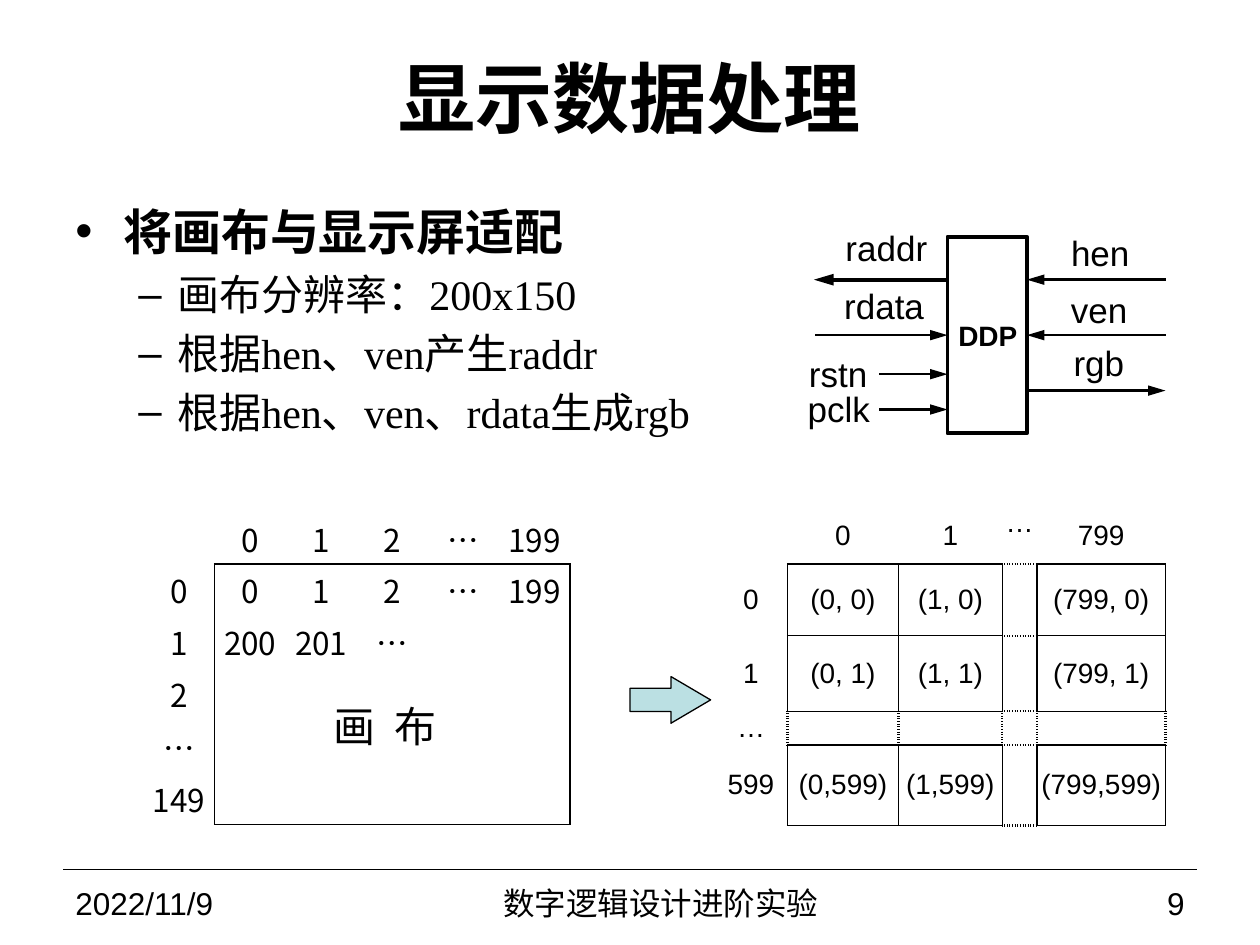
from lxml.etree import SubElement
from pptx import Presentation
from pptx.dml.color import RGBColor
from pptx.enum.shapes import MSO_CONNECTOR, MSO_SHAPE
from pptx.enum.text import MSO_ANCHOR, MSO_AUTO_SIZE, PP_ALIGN
from pptx.oxml.ns import qn
from pptx.util import Inches, Pt

INK, PALE, WHITE = "000000", "BBE0E3", "FFFFFF"
LEFT, MID, RIGHT = PP_ALIGN.LEFT, PP_ALIGN.CENTER, PP_ALIGN.RIGHT
NO_STYLE = "{2D5ABB26-0587-4C30-8999-92F81FD0307C}"
SIDES = {"lnL": (0, -1), "lnR": (0, 1), "lnT": (-1, 0), "lnB": (1, 0)}


def color(code):
    return RGBColor.from_string(code)


class Page:
    """Draws on one slide, measured on a grid of 100 columns by 75 rows."""

    def __init__(self, deck, font="Arial"):
        self.slide = deck.slides.add_slide(deck.slide_layouts[6])
        self.shapes = self.slide.shapes
        self.col = deck.slide_width / 100
        self.row = deck.slide_height / 75
        self.font = font

    def x(self, n):
        return round(n * self.col)

    def y(self, n):
        return round(n * self.row)

    def box(self, at):
        left, top, wide, high = at
        return self.x(left), self.y(top), self.x(wide), self.y(high)

    def run(self, para, text, size, bold=False, font=None):
        run = para.add_run()
        run.text = text
        run.font.size, run.font.bold = Pt(size), bold
        run.font.name = font or self.font
        run.font.color.rgb = color(INK)

    def frame(self, at, anchor=MSO_ANCHOR.MIDDLE, wrap=True, tight=False):
        frame = self.shapes.add_textbox(*self.box(at)).text_frame
        frame.word_wrap, frame.vertical_anchor = wrap, anchor
        if not wrap:
            frame.auto_size = MSO_AUTO_SIZE.SHAPE_TO_FIT_TEXT
        if tight:
            frame.margin_left = frame.margin_right = 0
            frame.margin_top = frame.margin_bottom = 0
        return frame

    def text(self, at, text, size, align=LEFT, bold=False, font=None, **look):
        para = self.frame(at, **look).paragraphs[0]
        para.alignment = align
        self.run(para, text, size, bold, font)

    def bullets(self, at, items, font):
        """Items are (level, text); level 0 is bold."""
        frame = self.frame(at, anchor=MSO_ANCHOR.TOP)
        looks = [("•", 28, 0.38, 0.38), ("–", 24, 0.81, 0.31)]
        for i, (level, text) in enumerate(items):
            mark, size, left, hang = looks[level]
            para = frame.add_paragraph() if i else frame.paragraphs[0]
            para.level, para.space_before = level, Pt(size * 0.2)
            self.run(para, text, size, level == 0, font)
            props = para._p.get_or_add_pPr()
            props.set("marL", str(Inches(left)))
            props.set("indent", str(-Inches(hang)))
            SubElement(props, qn("a:buFont"), typeface=self.font)
            SubElement(props, qn("a:buChar"), char=mark)

    def shape(self, kind, at, width, fill=None, adjust=()):
        shape = self.shapes.add_shape(kind, *self.box(at))
        shape.shadow.inherit = False
        if fill:
            shape.fill.solid()
            shape.fill.fore_color.rgb = color(fill)
        else:
            shape.fill.background()
        shape.line.color.rgb, shape.line.width = color(INK), Pt(width)
        for i, value in enumerate(adjust):
            shape.adjustments[i] = value
        return shape

    def line(self, start, end, width, arrow=False):
        ends = self.x(start[0]), self.y(start[1]), self.x(end[0]), self.y(end[1])
        line = self.shapes.add_connector(MSO_CONNECTOR.STRAIGHT, *ends)
        line.line.color.rgb, line.line.width = color(INK), Pt(width)
        if arrow:
            SubElement(line.line._get_or_add_ln(), qn("a:tailEnd"),
                       type="triangle", w="med", len="lg")
        SubElement(line._element.spPr, qn("a:effectLst"))
        return line

    def edge(self, cell, side, look):
        ln = SubElement(cell._tc.get_or_add_tcPr(), qn("a:" + side))
        if not look:
            SubElement(ln, qn("a:noFill"))
            return
        width, dash = look
        ln.set("w", str(Pt(width)))
        SubElement(SubElement(ln, qn("a:solidFill")), qn("a:srgbClr"), val=INK)
        SubElement(ln, qn("a:prstDash"), val=dash)

    def table(self, at, wides, highs, rows, size, rule, font=None, top=()):
        """rule(a, b) gives the (width, dash) between neighbours, or None.

        Cells listed in top are anchored there.
        """
        shape = self.shapes.add_table(len(highs), len(wides), self.x(at[0]),
                                      self.y(at[1]), self.x(sum(wides)),
                                      self.y(sum(highs)))
        table = shape.table
        table.first_row = table.horz_banding = False
        table._tbl.tblPr.find(qn("a:tableStyleId")).text = NO_STYLE
        for column, wide in zip(table.columns, wides):
            column.width = self.x(wide)
        for row, high in zip(table.rows, highs):
            row.height = self.y(high)
        for r, row in enumerate(rows):
            for c, text in enumerate(row):
                cell = table.cell(r, c)
                cell.margin_left = cell.margin_right = 0
                cell.margin_top = cell.margin_bottom = 0
                cell.vertical_anchor = (MSO_ANCHOR.TOP if (r, c) in top
                                        else MSO_ANCHOR.MIDDLE)
                para = cell.text_frame.paragraphs[0]
                para.alignment = MID
                if text:
                    self.run(para, text, size, font=font)
                else:
                    SubElement(para._p, qn("a:endParaRPr"), sz="800")
                for side, (down, over) in SIDES.items():
                    self.edge(cell, side, rule((r, c), (r + down, c + over)))
                if r and c:
                    cell.fill.solid()
                    cell.fill.fore_color.rgb = color(WHITE)
                else:
                    cell.fill.background()


def canvas_rule(a, b):
    inside = [1 <= r <= 5 and 1 <= c <= 5 for r, c in (a, b)]
    return (1, "solid") if inside[0] != inside[1] else None


def screen_rule(a, b):
    """Edges that cross the left-out row or column are dotted."""
    if not any(1 <= r <= 4 and 1 <= c <= 4 for r, c in (a, b)):
        return None
    skip = a[0] == b[0] == 3 or a[1] == b[1] == 3
    return (1.5, "sysDot") if skip else (1, "solid")


def main():
    deck = Presentation()
    deck.slide_width, deck.slide_height = Inches(10), Inches(7.5)
    page = Page(deck)
    serif, sans = "Times New Roman", "Noto Sans CJK SC"

    page.line((5, 69), (95, 69), 0.75)
    page.text((5, 3, 90, 9.3), "显示数据处理", 44, MID, True, serif)
    page.bullets((5, 15.5, 51.4, 24.3), [
        (0, "将画布与显示屏适配"), (1, "画布分辨率：200x150"),
        (1, "根据hen、ven产生raddr"), (1, "根据hen、ven、rdata生成rgb")], serif)
    for left, wide, text, align in [(5, 23.3, "2022/11/9", LEFT),
                                    (77.5, 17.5, "9", RIGHT),
                                    (28.3, 48.3, "数字逻辑设计进阶实验", MID)]:
        page.text((left, 69.8, wide, 3.7), text, 18, align)

    heads = ["0", "1", "2", "…", "199"]
    cells = [[""] + heads, ["0"] + heads, ["1", "200", "201", "…", "", ""]]
    cells += [[name] + [""] * 5 for name in ("2", "…", "149")]
    page.table((11.4, 40.75), [5.64] * 6, [4] + [4.14] * 5, cells, 18,
               canvas_rule, sans)
    page.text((25.5, 55.1, 10.6, 5.1), "画  布", 24, wrap=False,
              anchor=MSO_ANCHOR.TOP)

    block = page.shape(MSO_SHAPE.RECTANGLE, (75.2, 18.8, 6.3, 15.6), 2.25)
    page.text((75, 24.8, 6.8, 3.7), "DDP", 16, MID, True, wrap=False)
    near, far, mid = 75.2, 81.5, 26.6
    page.line((near, 22.2), (64.6, 22.2), 2.25, True)
    page.line((64.7, mid), (near, mid), 1.5, True).end_connect(block, 1)
    page.line((92.5, mid), (far, mid), 1.5, True).end_connect(block, 3)
    page.line((92.5, 22.2), (far, 22.2), 1.5, True)
    page.line((far, 31), (92.5, 31), 1.5, True)
    for y in (29.7, 32.5):
        page.line((69.8, y), (near, y), 1.5, True)
    for text, *at in [("raddr", 67.1, 17.8, 6.5, 3.7),
                      ("rdata", 67, 22.4, 6.4, 3.7),
                      ("rstn", 64.2, 27.8, 4.8, 3.7),
                      ("pclk", 64.1, 30.6, 5, 3.7),
                      ("hen", 85, 18.2, 4.8, 3.7),
                      ("ven", 85, 22.7, 4.6, 3.7),
                      ("rgb", 85.2, 26.9, 4.1, 3.7)]:
        page.text(at, text, 20, wrap=False, tight=True)

    page.shape(MSO_SHAPE.RIGHT_ARROW, (50, 53.7, 6.4, 3.7), 0.75, PALE,
               (0.5, 0.85))
    page.table((56.7, 40.25), [5.8, 8.8, 8.25, 2.75, 10.2],
               [4.5, 5.7, 6, 2.6, 6.4],
               [["", "0", "1", "…", "799"],
                ["0", "(0, 0)", "(1, 0)", "", "(799, 0)"],
                ["1", "(0, 1)", "(1, 1)", "", "(799, 1)"],
                ["…", "", "", "", ""],
                ["599", "(0,599)", "(1,599)", "", "(799,599)"]],
               16, screen_rule, top=[(0, 3)])
    deck.save("out.pptx")


if __name__ == "__main__":
    main()
